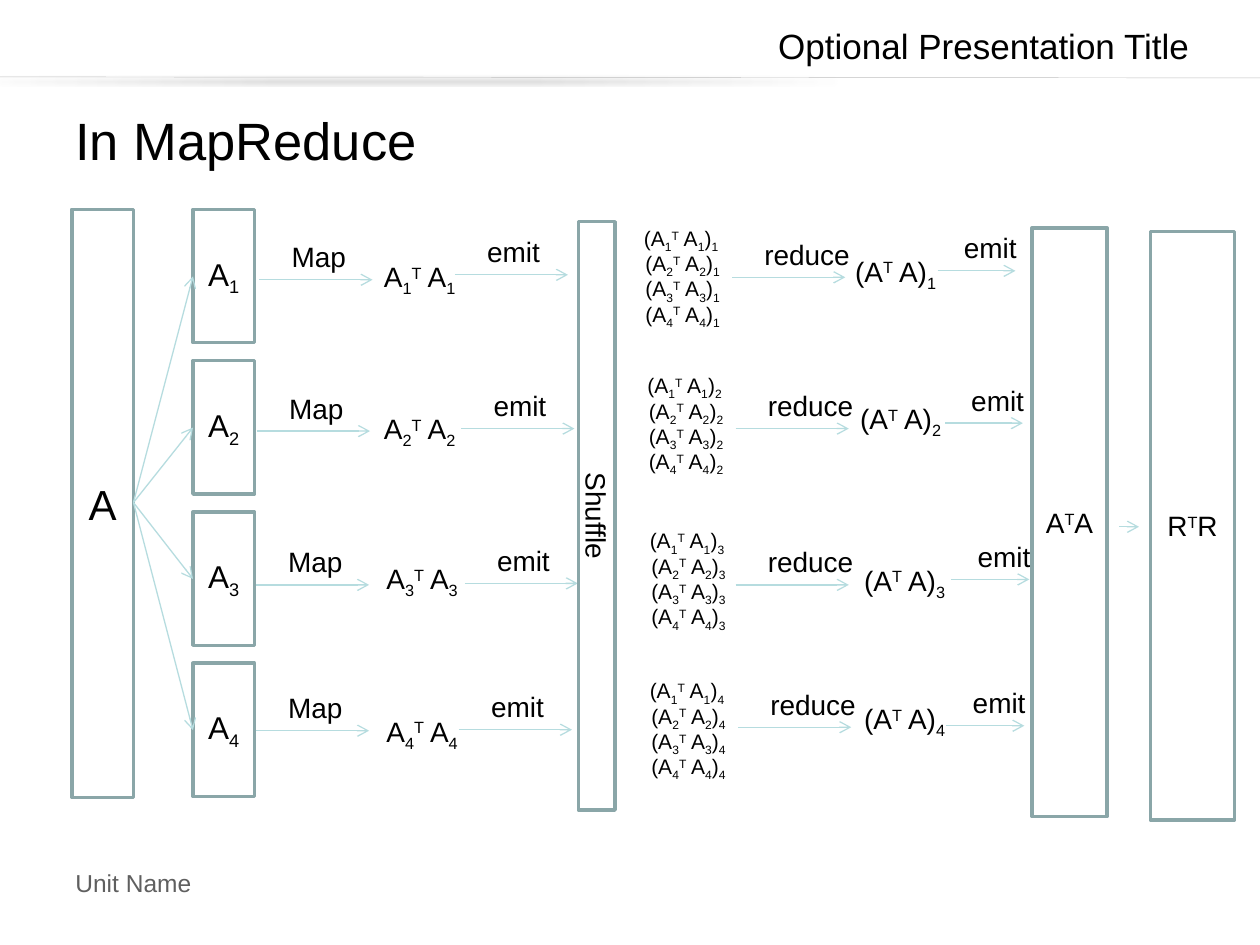
from pptx import Presentation
from pptx.dml.color import RGBColor as Rgb
from pptx.enum.shapes import MSO_CONNECTOR as Conn, MSO_SHAPE as Kind
from pptx.enum.text import MSO_ANCHOR as Anchor, PP_ALIGN as Align
from pptx.oxml import parse_xml
from pptx.oxml.ns import nsdecls
from pptx.util import Cm, Pt

HUES = {"ink": "000000", "gray": "5F5F5F", "rule": "BFBFBF",
        "edge": "8AA6A8", "arrow": "B6DCDF"}
BASES = {"_": "-25000", "^": "30000"}

MAPS = [(5.23, 5.64), (5.18, 8.69), (5.16, 11.79), (5.16, 14.73)]
EMITS = [(9.17, 5.54), (9.3, 8.64), (9.37, 11.76), (9.25, 14.71)]
FOLDS = [(14.76, 5.59), (14.83, 8.64), (14.83, 11.79), (14.88, 14.66)]
ENDS = [(18.9, 5.46), (19.05, 8.53), (19.18, 11.68), (19.08, 14.63)]
PRODS = [(7.49, 5.11), (7.49, 8.18), (7.54, 11.2), (7.54, 14.27)]
STACKS = [(12.73, 4.42), (12.8, 7.39), (12.85, 10.52), (12.85, 13.54)]
SUMS = [(16.99, 5), (17.09, 7.98), (17.17, 11.23), (17.17, 14.02)]


def hue(name):
    return Rgb.from_string(HUES[name])


def split(text):
    parts, base = [], None
    for char in text:
        if char in BASES:
            base = BASES[char]
        elif base or not parts or parts[-1][1]:
            parts.append((char, base))
            base = None
        else:
            parts[-1] = (parts[-1][0] + char, None)
    return parts


def write(frame, text, size=16, color="ink", align=Align.LEFT,
          anchor=Anchor.TOP, wrap=True):
    frame.word_wrap = wrap
    frame.vertical_anchor = anchor
    para = frame.paragraphs[0]
    para.alignment = align
    for part, base in split(text):
        run = para.add_run()
        run.text = part
        run.font.name = "Arial"
        run.font.size = Pt(size)
        run.font.color.rgb = hue(color)
        if base:
            run.font._element.set("baseline", base)


def label(slide, text, x, y, wide, high=0.93, **form):
    box = slide.shapes.add_textbox(Cm(x), Cm(y), Cm(wide), Cm(high))
    write(box.text_frame, text, **form)


def block(slide, text, x, y, wide, high=11.86, size=16, turn=False):
    box = slide.shapes.add_shape(Kind.RECTANGLE, Cm(x), Cm(y), Cm(wide), Cm(high))
    box.shadow.inherit = False
    box.fill.background()
    box.line.color.rgb = hue("edge")
    box.line.width = Pt(2)
    frame = box.text_frame
    frame.margin_left = frame.margin_right = Cm(0)
    if turn:
        frame._txBody.bodyPr.set("vert", "vert")
    write(frame, text, size=size, align=Align.CENTER, anchor=Anchor.MIDDLE)


def line(slide, start, end, color="arrow", width=0.75):
    link = slide.shapes.add_connector(Conn.STRAIGHT, *map(Cm, start + end))
    link.line.color.rgb = hue(color)
    link.line.width = Pt(width)
    return link


def effect(link, inner=""):
    link._element.spPr.append(
        parse_xml(f'<a:effectLst {nsdecls("a")}>{inner}</a:effectLst>'))


def arrow(slide, start, end):
    link = line(slide, start, end)
    link.line._get_or_add_ln().append(
        parse_xml(f'<a:tailEnd {nsdecls("a")} type="arrow"/>'))
    effect(link)


def step(slide, text, x, y, span=2.28, shift=0.4, wide=2.36):
    arrow(slide, (x, y), (x + span, y))
    label(slide, text, x + shift, y - 0.93, wide)


def rule(slide):
    link = line(slide, (0, 1.55), (25.4, 1.57), "rule", 0.25)
    effect(link, f'<a:outerShdw blurRad="{Pt(3.1)}" dist="{Pt(1.6)}" '
                 'dir="5400000" rotWithShape="0"><a:srgbClr val="000000">'
                 '<a:alpha val="38000"/></a:srgbClr></a:outerShdw>')


def row(slide, num):
    i = num - 1
    top = 4.22 + 3.05 * i
    block(slide, f"A_{num}", 3.89, top, 1.24, 2.69, size=18)
    arrow(slide, (2.69, 10.13), (3.89, top + 1.35))
    step(slide, "Map", *MAPS[i])
    label(slide, f"A_{num}^T A_{num}", *PRODS[i], 2.59)
    step(slide, "emit", *EMITS[i])
    x, y = STACKS[i]
    for k in range(4):
        label(slide, f"(A_{k + 1}^T A_{k + 1})_{num}", x + 0.03 * min(k, 1),
              y + 0.51 * k, 2.59, 0.76, size=12)
    step(slide, "reduce", *FOLDS[i])
    label(slide, f"(A^T A)_{num}", *SUMS[i], 2.59)
    step(slide, "emit", *ENDS[i], span=1.57, shift=0.28, wide=1.65)


def main():
    deck = Presentation()
    deck.slide_width, deck.slide_height = Cm(25.4), Cm(19.05)
    slide = deck.slides.add_slide(deck.slide_layouts[6])
    label(slide, "Unit Name", 1.27, 17.37, 6.35, 0.84, size=14, color="gray")
    label(slide, "Optional Presentation Title", 15.37, 0.36, 8.86, 1.12,
          size=20, align=Align.RIGHT, wrap=False)
    rule(slide)
    label(slide, "In MapReduce", 1.27, 1.7, 22.86, 2.24, size=30,
          anchor=Anchor.MIDDLE)
    block(slide, "A", 1.45, 4.22, 1.24, size=24)
    for num in range(1, 5):
        row(slide, num)
    block(slide, "Shuffle", 11.66, 4.47, 0.74, turn=True)
    block(slide, "A^TA", 20.8, 4.6, 1.52)
    block(slide, "R^TR", 23.19, 4.67, 1.7)
    arrow(slide, (22.56, 10.62), (22.96, 10.62))
    deck.save("out.pptx")


main()
